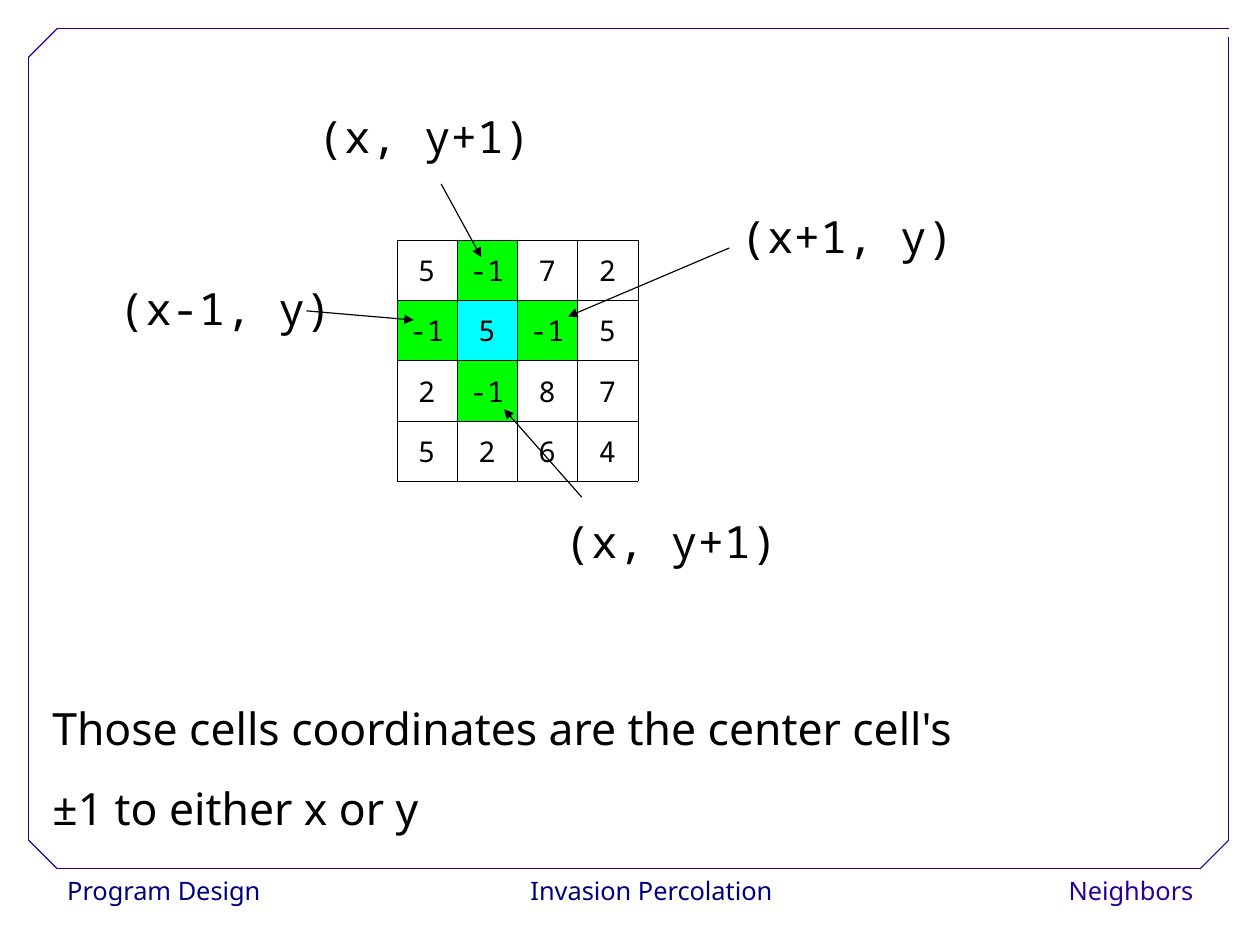
from lxml import etree
from pptx import Presentation
from pptx.dml.color import RGBColor
from pptx.enum.shapes import MSO_CONNECTOR
from pptx.enum.text import MSO_ANCHOR, PP_ALIGN
from pptx.oxml.ns import qn
from pptx.util import Cm, Inches, Pt

STRAIGHT = MSO_CONNECTOR.STRAIGHT
MIDDLE = MSO_ANCHOR.MIDDLE
LEFT, CENTER, RIGHT = PP_ALIGN.LEFT, PP_ALIGN.CENTER, PP_ALIGN.RIGHT

SANS, MONO = "Noto Sans", "Noto Sans Mono"
COLORS = {
    "text": "000000",
    "footer": "000080",
    "frame": "280099",
    "neighbor": "00FF00",
    "center": "00FFFF",
}

GRID_STEP = 0.25
CELL_SIZE = 2.11
CENTER_CELL = (1, 1)
CELL_VALUES = [
    [5, -1, 7, 2],
    [-1, 5, -1, 5],
    [2, -1, 8, 7],
    [5, 2, 6, 4],
]
LABELS = [
    ("(x, y+1)", 10.72, 3.6),
    ("(x-1, y)", 3.76, 9.6),
    ("(x+1, y)", 25.52, 7.08),
    ("(x, y+1)", 19.36, 17.76),
]
ARROWS = [
    ((20.36, 17.4), (17.64, 14.32)),
    ((10.72, 10.88), (14.48, 11.2)),
    ((15.44, 6.44), (16.84, 9)),
    ((25.52, 8.68), (19.88, 11.08)),
]
FRAME_LINES = [
    ((2, 30.4), (42, 30.4)),
    ((1, 29.4), (1, 2)),
    ((2, 1), (43, 1)),
    ((43, 29.4), (43, 1.28)),
    ((1, 2), (2, 1)),
    ((42, 30.4), (43, 29.4)),
    ((1, 29.4), (2, 30.4)),
]
FOOTERS = [
    ("Program Design", 1.96, 7.6, LEFT, "footer"),
    ("Invasion Percolation", 17.8, 10, CENTER, "footer"),
    ("Neighbors", 34.56, 7.6, RIGHT, "frame"),
]


def grid(steps):
    return Inches(steps * GRID_STEP)


def color(name):
    return RGBColor.from_string(COLORS[name])


def style(para, font, size, tint="text", align=LEFT, spacing=1.02):
    para.font.name = font
    para.font.size = Pt(size)
    para.font.color.rgb = color(tint)
    para.alignment = align
    para.line_spacing = spacing


def add_text(page, lines, left, top, width, height, **look):
    box = page.shapes.add_textbox(grid(left), grid(top), grid(width), grid(height))
    frame = box.text_frame
    frame.word_wrap = True
    frame.text = "\n".join(lines)
    for para in frame.paragraphs:
        style(para, **look)


def add_line(page, start, end, tint, arrow=False):
    ends = [grid(steps) for steps in (*start, *end)]
    line = page.shapes.add_connector(STRAIGHT, *ends)
    line.line.color.rgb = color(tint)
    line.line.width = Pt(0.75)
    properties = line._element.spPr
    if arrow:
        etree.SubElement(properties.find(qn("a:ln")), qn("a:tailEnd"), type="triangle")
    etree.SubElement(properties, qn("a:effectLst"))


def add_borders(cell):
    properties = cell._tc.get_or_add_tcPr()
    for position, side in enumerate(("a:lnL", "a:lnR", "a:lnT", "a:lnB")):
        border = etree.Element(qn(side), w=str(Pt(0.06)))
        fill = etree.SubElement(border, qn("a:solidFill"))
        etree.SubElement(fill, qn("a:srgbClr"), val=COLORS["text"])
        properties.insert(position, border)


def fill_cell(cell, row, column):
    distance = abs(row - CENTER_CELL[0]) + abs(column - CENTER_CELL[1])
    if distance > 1:
        cell.fill.background()
        return
    cell.fill.solid()
    cell.fill.fore_color.rgb = color("neighbor" if distance else "center")


def add_cell_table(page, left, top):
    count = len(CELL_VALUES)
    side = grid(count * CELL_SIZE)
    table = page.shapes.add_table(count, count, grid(left), grid(top), side, side).table
    table.first_row = False
    table.horz_banding = False
    for row, values in enumerate(CELL_VALUES):
        for column, value in enumerate(values):
            cell = table.cell(row, column)
            cell.text = str(value)
            cell.vertical_anchor = MIDDLE
            style(cell.text_frame.paragraphs[0], MONO, 18, align=CENTER)
            fill_cell(cell, row, column)
            add_borders(cell)


def main():
    deck = Presentation()
    deck.slide_width, deck.slide_height = Cm(28), Cm(21)
    page = deck.slides.add_slide(deck.slide_layouts[6])

    for text, left, width, align, tint in FOOTERS:
        add_text(page, [text], left, 30.4, width, 1.6,
                 font=SANS, size=16, tint=tint, align=align)
    for start, end in FRAME_LINES:
        add_line(page, start, end, "frame")

    add_cell_table(page, 13.88, 8.4)
    for text, left, top in LABELS:
        add_text(page, [text], left, top, 8.4, 2.56, font=MONO, size=28)
    for start, end in ARROWS:
        add_line(page, start, end, "text", arrow=True)

    explanation = ["Those cells coordinates are the center cell's", "±1 to either x or y"]
    add_text(page, explanation, 1.44, 23.4, 36.36, 6, font=SANS, size=28, spacing=1.5)

    deck.save("out.pptx")


if __name__ == "__main__":
    main()
